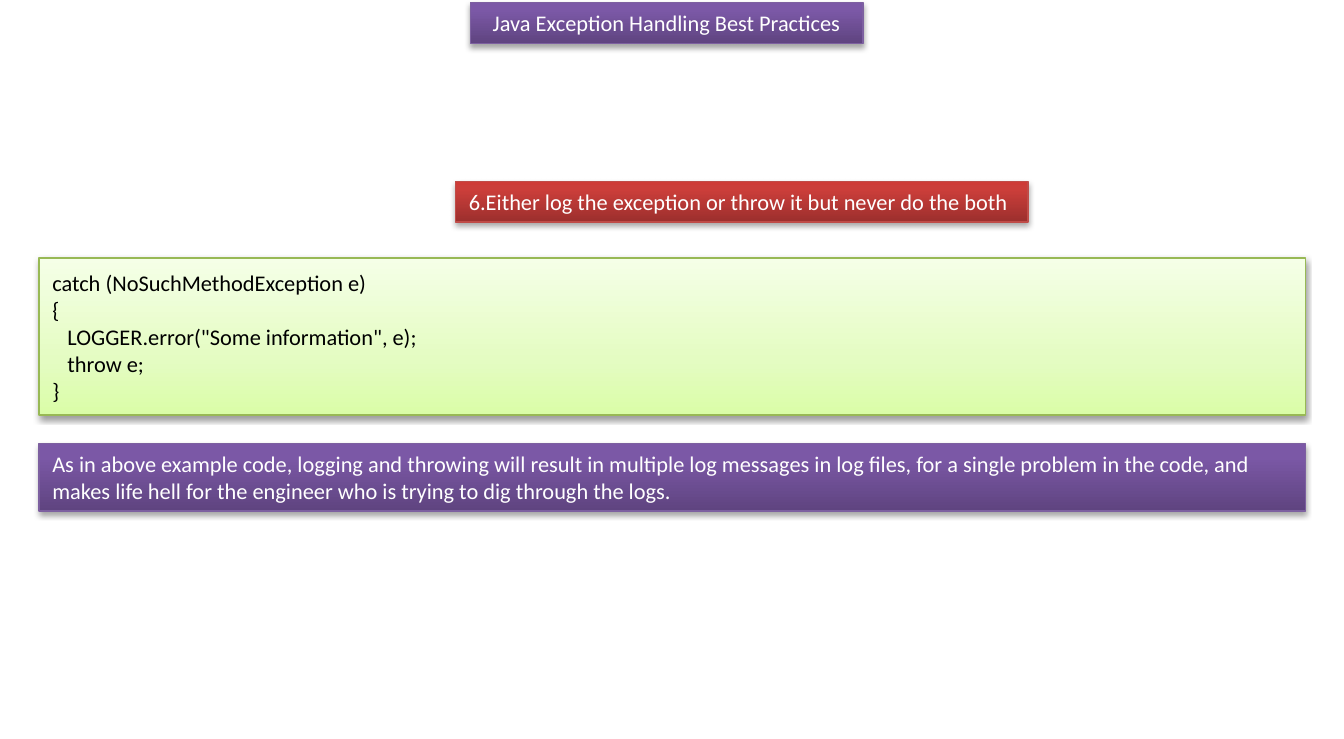
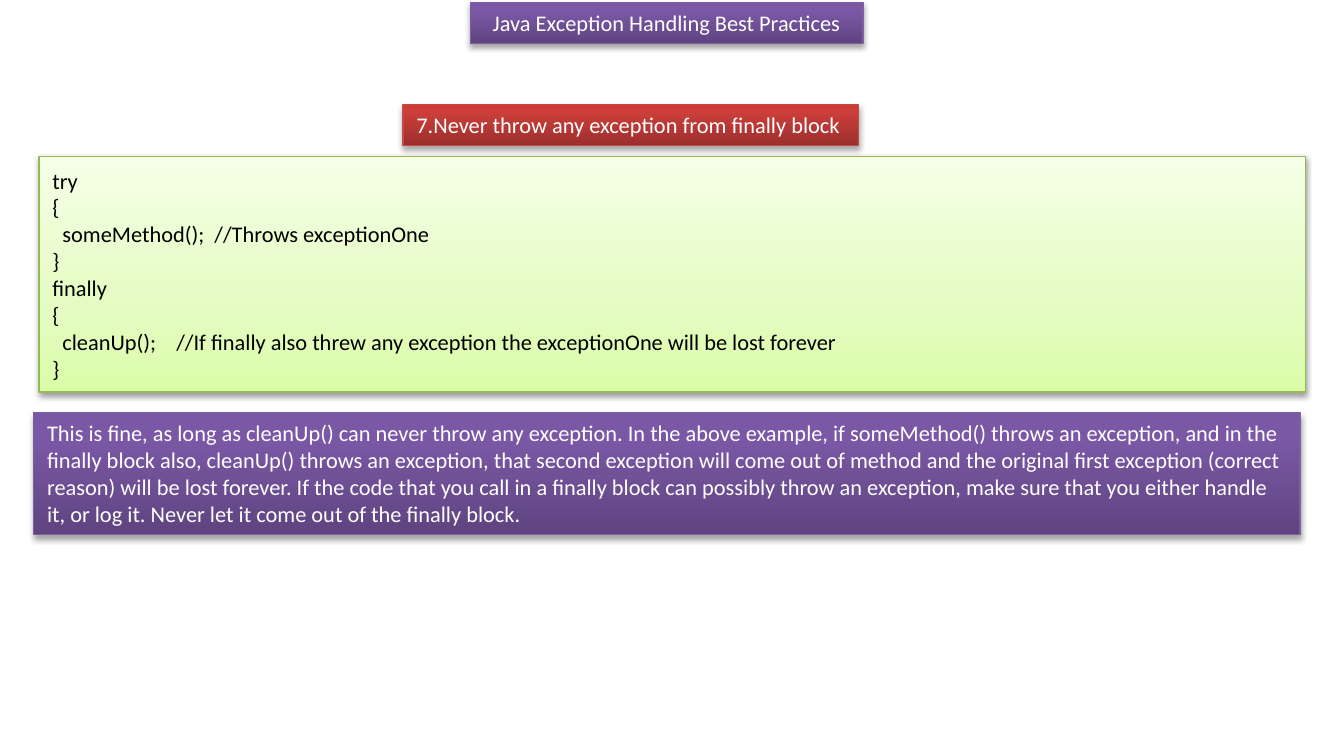
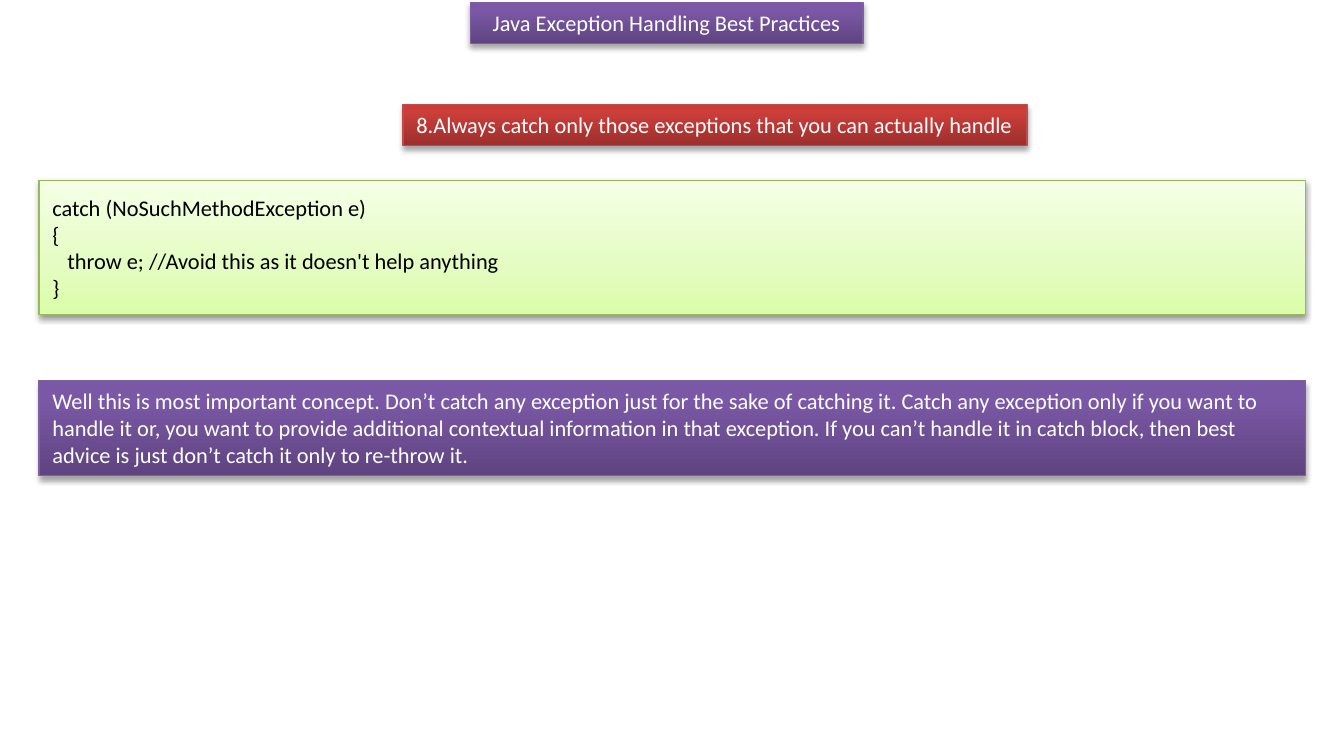
from dataclasses import dataclass

import pptx
import pptx.dml.color
import pptx.enum.shapes
import pptx.enum.text
import pptx.oxml.ns
import pptx.slide
import pptx.util
from lxml import etree

Cm = pptx.util.Cm
Pt = pptx.util.Pt
Align = pptx.enum.text.PP_ALIGN
Anchor = pptx.enum.text.MSO_ANCHOR
AutoSize = pptx.enum.text.MSO_AUTO_SIZE

COLOURS = {
    "white": "FFFFFF",
    "black": "000000",
    "purple_dark": "5F4480",
    "purple_mid": "7B58A6",
    "purple_light": "7C57A8",
    "purple_line": "7D60A0",
    "red_dark": "9C2F2D",
    "red_mid": "CB3E3A",
    "red_light": "CE3B37",
    "red_line": "BF4C48",
    "green_dark": "DAFDA7",
    "green_mid": "E4FCC2",
    "green_light": "F5FFE7",
    "green_line": "98B955",
}

DECK_TITLE = "Java Exception Handling Best Practices"
MARGIN, BODY_WIDTH, BAR_HEIGHT = 0.74, 23.93, 0.77
FONT = {"name": "Calibri", "size": Pt(12)}


@dataclass(frozen=True)
class Style:
    """Look of one kind of box: gradient from bottom to top, shadow and text."""
    hue: str
    mid_stop: int
    shadow_alpha: int
    shadow_distance: float
    text_colour: str
    frame: dict
    align: Align = Align.LEFT


@dataclass(frozen=True)
class Box:
    left: float
    top: float
    width: float
    height: float
    text: str


@dataclass(frozen=True)
class Practice:
    heading: Box
    code: Box
    note: Box


GROWING = {"word_wrap": True, "vertical_anchor": Anchor.TOP,
           "auto_size": AutoSize.SHAPE_TO_FIT_TEXT}
TITLE = Style("purple", 80, 35, 1.8, "white", GROWING, Align.CENTER)
NOTE = Style("purple", 80, 35, 1.8, "white", GROWING)
HEADING = Style("red", 80, 35, 1.8, "white", {**GROWING, "word_wrap": False})
CODE = Style("green", 35, 38, 1.6, "black",
             {"word_wrap": True, "vertical_anchor": Anchor.MIDDLE,
              "auto_size": AutoSize.NONE})

TITLE_BOX = Box(8.89, 0.05, 7.42, BAR_HEIGHT, DECK_TITLE)

PRACTICES = [
    Practice(
        Box(8.61, 3.43, 10.82, BAR_HEIGHT,
            "6.Either log the exception or throw it but never do the both"),
        Box(MARGIN, 4.88, BODY_WIDTH, 2.97, """catch (NoSuchMethodException e)
{
   LOGGER.error("Some information", e);
   throw e;
}"""),
        Box(MARGIN, 8.38, BODY_WIDTH, 1.28,
            "As in above example code, logging and throwing will result in multiple "
            "log messages in log files, for a single problem in the code, and makes "
            "life hell for the engineer who is trying to dig through the logs."),
    ),
    Practice(
        Box(7.62, 1.98, 8.61, BAR_HEIGHT,
            "7.Never throw any exception from finally block"),
        Box(MARGIN, 2.96, BODY_WIDTH, 4.45, """try
{
  someMethod();  //Throws exceptionOne
}
finally
{
  cleanUp();    //If finally also threw any exception the exceptionOne will be lost forever
}"""),
        Box(0.64, 7.8, BODY_WIDTH, 2.31,
            "This is fine, as long as cleanUp() can never throw any exception. In the "
            "above example, if someMethod() throws an exception, and in the finally "
            "block also, cleanUp() throws an exception, that second exception will "
            "come out of method and the original first exception (correct reason) "
            "will be lost forever. If the code that you call in a finally block can "
            "possibly throw an exception, make sure that you either handle it, or "
            "log it. Never let it come out of the finally block."),
    ),
    Practice(
        Box(7.62, 1.98, 11.79, BAR_HEIGHT,
            "8.Always catch only those exceptions that you can actually handle"),
        Box(MARGIN, 3.41, BODY_WIDTH, 2.54, """catch (NoSuchMethodException e)
{
   throw e; //Avoid this as it doesn't help anything
}"""),
        Box(MARGIN, 7.19, BODY_WIDTH, 1.8,
            "Well this is most important concept. Don’t catch any exception just for "
            "the sake of catching it. Catch any exception only if you want to handle "
            "it or, you want to provide additional contextual information in that "
            "exception. If you can’t handle it in catch block, then best advice is "
            "just don’t catch it only to re-throw it."),
    ),
]


def rgb(name: str) -> pptx.dml.color.RGBColor:
    return pptx.dml.color.RGBColor.from_string(COLOURS[name])


def set_all(target: object, values: dict) -> None:
    for name, value in values.items():
        setattr(target, name, value)


def add_xml(parent: etree.ElementBase, tag: str, **attrs: object) -> etree.ElementBase:
    return etree.SubElement(parent, pptx.oxml.ns.qn(tag),
                            {key: str(value) for key, value in attrs.items()})


def paint(sp: pptx.shapes.autoshape.Shape, style: Style) -> None:
    # Three-stop gradient
    sp.fill.gradient()
    sp.fill.gradient_angle = 90
    stops = sp._element.spPr.find(".//" + pptx.oxml.ns.qn("a:gsLst"))
    for stop in list(stops):
        stops.remove(stop)
    for pos, shade in ((0, "dark"), (style.mid_stop, "mid"), (100, "light")):
        gs = add_xml(stops, "a:gs", pos=pos * 1000)
        add_xml(gs, "a:srgbClr", val=COLOURS[f"{style.hue}_{shade}"])

    # Outline
    sp.line.color.rgb = rgb(f"{style.hue}_line")
    sp.line.width = Pt(0.75)

    # Shadow below the box
    sp.shadow.inherit = False
    effects = sp._element.spPr.find(pptx.oxml.ns.qn("a:effectLst"))
    shadow = add_xml(effects, "a:outerShdw", blurRad=Pt(3.1),
                     dist=Pt(style.shadow_distance), dir=90 * 60000, rotWithShape=0)
    colour = add_xml(shadow, "a:srgbClr", val=COLOURS["black"])
    add_xml(colour, "a:alpha", val=style.shadow_alpha * 1000)


def add_box(slide: pptx.slide.Slide, box: Box, style: Style) -> None:
    sp = slide.shapes.add_shape(pptx.enum.shapes.MSO_SHAPE.RECTANGLE, Cm(box.left),
                                Cm(box.top), Cm(box.width), Cm(box.height))
    paint(sp, style)
    tf = sp.text_frame
    set_all(tf, style.frame)
    tf.text = box.text
    for p in tf.paragraphs:
        p.alignment = style.align
        for r in p.runs:
            set_all(r.font, FONT)
            r.font.color.rgb = rgb(style.text_colour)


def main() -> None:
    prs = pptx.Presentation()
    set_all(prs, {"slide_width": Cm(25.4), "slide_height": Cm(13.97)})
    for practice in PRACTICES:
        s = prs.slides.add_slide(prs.slide_layouts[6])
        add_box(s, TITLE_BOX, TITLE)
        add_box(s, practice.code, CODE)
        add_box(s, practice.heading, HEADING)
        add_box(s, practice.note, NOTE)
    prs.save("out.pptx")


if __name__ == "__main__":
    main()
